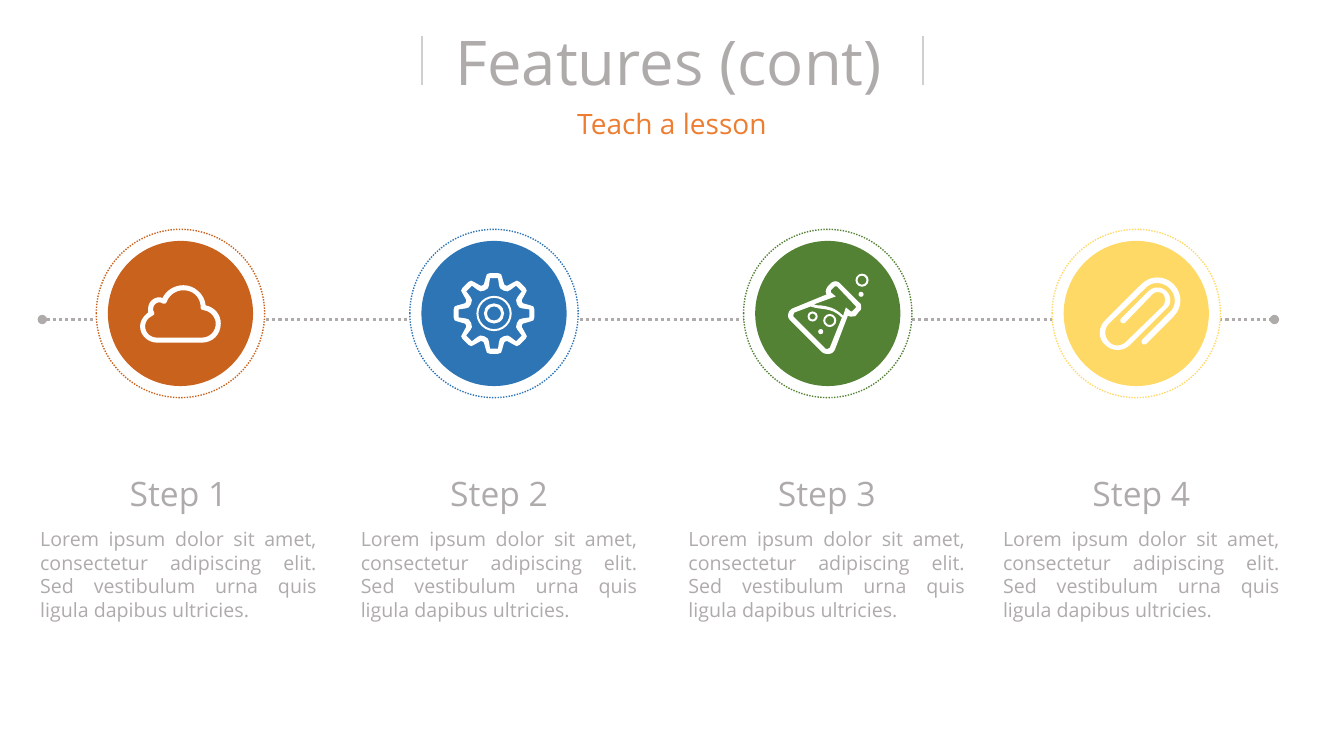
"""Builds a four-step features slide with icon badges on a dotted timeline."""
from math import cos, radians, sin

from lxml.etree import SubElement
from pptx import Presentation
from pptx.dml.color import RGBColor
from pptx.enum.dml import MSO_LINE
from pptx.enum.shapes import MSO_CONNECTOR, MSO_SHAPE
from pptx.enum.text import MSO_AUTO_SIZE, PP_ALIGN
from pptx.oxml.ns import qn
from pptx.util import Inches, Pt

COLORS = {
    "text": "AFABAB", "rule": "D0CECE", "accent": "ED7D31", "white": "FFFFFF",
    "orange": "C8621C", "blue": "2E75B6", "green": "548235", "yellow": "FFD966",
}
BODY = ("Lorem ipsum dolor sit amet, consectetur adipiscing elit. "
        "Sed vestibulum urna quis ligula dapibus ultricies.")
BADGE_Y = 3.11
STEPS = [
    ("Step 1", 1.77, 1.79, "orange"),
    ("Step 2", 4.95, 4.9, "blue"),
    ("Step 3", 8.2, 8.21, "green"),
    ("Step 4", 11.32, 11.27, "yellow"),
]
CLOUD = ["""
M 2 3.35 L 1.56 3.35 C 1.49 3.35 1.44 3.3 1.44 3.24 C 1.44 3.2 1.46 3.16 1.5 3.14
C 1.53 3.12 1.54 3.12 1.52 3.08 C 1.52 3.08 1.52 3.07 1.52 3.06 C 1.52 3.03 1.55 3 1.58 3
C 1.58 3 1.6 3 1.61 3.01 C 1.64 3.02 1.65 3.01 1.66 2.98 C 1.69 2.92 1.75 2.88 1.82 2.88
C 1.91 2.88 1.98 2.94 1.99 3.03 C 1.99 3.07 1.99 3.07 2.03 3.08 C 2.09 3.09 2.14 3.15 2.14 3.21
C 2.14 3.29 2.08 3.35 2 3.35""", """
M 2.04 3.03 C 2.03 2.92 1.93 2.83 1.82 2.83 C 1.73 2.83 1.65 2.88 1.61 2.96
C 1.6 2.95 1.59 2.95 1.58 2.95 C 1.52 2.95 1.47 3 1.47 3.06 C 1.47 3.08 1.47 3.09 1.47 3.1
C 1.43 3.13 1.39 3.18 1.39 3.24 C 1.39 3.33 1.47 3.4 1.56 3.4 L 2 3.4
C 2.11 3.4 2.19 3.32 2.19 3.21 C 2.19 3.12 2.13 3.05 2.04 3.03"""]
FLASK = ["""
M 8.49 3.05 L 8.45 3.09 L 8.44 3.09 L 8.39 3.05 L 8.36 3.14 L 8.36 3.13
C 8.28 3.05 8.21 3.04 8.14 3.03 C 8.12 3.03 8.1 3.03 8.07 3.02 L 8.29 2.94 L 8.24 2.9
L 8.24 2.88 L 8.28 2.84 L 8.3 2.84 L 8.49 3.04
M 8.23 3.45 L 8.21 3.46 L 8.19 3.46 L 7.87 3.14 L 7.87 3.12 L 7.88 3.1 L 8.04 3.04
C 8.14 3.08 8.24 3.04 8.35 3.15 L 8.23 3.45""", """
M 8.33 2.81 C 8.32 2.8 8.3 2.79 8.29 2.79 C 8.27 2.79 8.25 2.8 8.24 2.81 L 8.21 2.84
C 8.2 2.86 8.19 2.87 8.19 2.89 C 8.19 2.9 8.19 2.91 8.2 2.92 L 7.86 3.06
C 7.84 3.07 7.82 3.09 7.82 3.11 C 7.81 3.14 7.82 3.16 7.84 3.18 L 8.15 3.49
C 8.17 3.51 8.19 3.51 8.21 3.51 L 8.22 3.51 C 8.25 3.51 8.27 3.49 8.28 3.47 L 8.41 3.13
C 8.42 3.14 8.43 3.14 8.44 3.14 C 8.46 3.14 8.48 3.14 8.49 3.13 L 8.52 3.09
C 8.54 3.08 8.54 3.06 8.54 3.05 C 8.54 3.03 8.54 3.01 8.52 3 L 8.33 2.81"""]
CLIP = ["""
M 11.64 2.82 C 11.55 2.73 11.41 2.73 11.32 2.82 L 10.96 3.18 C 10.89 3.25 10.89 3.36 10.96 3.42
C 11.03 3.49 11.14 3.49 11.21 3.42 L 11.57 3.06 C 11.62 3.02 11.62 2.94 11.57 2.89
C 11.52 2.84 11.44 2.84 11.39 2.89 L 11.12 3.16 C 11.11 3.17 11.11 3.19 11.12 3.2
C 11.13 3.21 11.15 3.21 11.16 3.2 L 11.43 2.92 C 11.46 2.89 11.51 2.89 11.54 2.92""", """
C 11.56 2.95 11.56 3 11.54 3.03 L 11.17 3.39 C 11.12 3.44 11.04 3.44 11 3.39
C 10.95 3.34 10.95 3.26 11 3.21 L 11.36 2.86 C 11.42 2.79 11.53 2.79 11.6 2.86
C 11.67 2.93 11.67 3.04 11.6 3.1 L 11.33 3.37 C 11.32 3.38 11.32 3.4 11.33 3.41
C 11.34 3.42 11.36 3.42 11.37 3.41 L 11.64 3.14 C 11.73 3.05 11.73 2.91 11.64 2.82"""]
TOOTH_OUTSIDE = [(0.11, 0.28), (0.1, 0.29), (0.08, 0.36), (0.07, 0.39), (0.04, 0.4)]
TOOTH_INSIDE = [(0.09, 0.23), (0.06, 0.25), (0.05, 0.28), (0.04, 0.35)]
RINGS = [
    (4.9, 3.11, 0.35, 0.02), (4.9, 3.11, 0.2, 0.03), (8.23, 3.18, 0.13, 0.02),
    (8.55, 2.78, 0.13, 0.02), (8.06, 3.14, 0.1, 0.02),
]
DOTS = [(8.14, 3.29, 0.05), (8.54, 2.92, 0.05)]


def outline_contours(pieces, steps=8):
    contours = []
    tokens = iter(" ".join(pieces).split())
    for command in tokens:
        count = 6 if command == "C" else 2
        numbers = [float(next(tokens)) for _ in range(count)]
        points = list(zip(numbers[::2], numbers[1::2]))
        if command == "M":
            contours.append(points)
        elif command == "L":
            contours[-1] += points
        else:
            controls = [contours[-1][-1]] + points
            for step in range(1, steps + 1):
                t = step / steps
                weights = ((1 - t) ** 3, 3 * t * (1 - t) ** 2, 3 * t * t * (1 - t), t ** 3)
                contours[-1].append(tuple(
                    sum(weight * point[axis] for weight, point in zip(weights, controls))
                    for axis in (0, 1)))
    return contours


def gear_contour(center_x, center_y, half_tooth):
    tooth = [(-x, y) for x, y in half_tooth] + half_tooth[::-1]
    turns = [radians(45 * index) for index in range(8)]
    return [(center_x + x * cos(turn) + y * sin(turn), center_y + x * sin(turn) - y * cos(turn))
            for turn in turns for x, y in tooth]


class SlideBuilder:
    def __init__(self, slide, font="Open Sans"):
        self.slide = slide
        self.font = font

    def color(self, name):
        return RGBColor.from_string(COLORS[name])

    def text(self, content, left, top, width, height, size, color="text", align=PP_ALIGN.CENTER):
        shape = self.slide.shapes.add_textbox(
            Inches(left), Inches(top), Inches(width), Inches(height))
        frame = shape.text_frame
        frame.word_wrap = True
        frame.auto_size = MSO_AUTO_SIZE.SHAPE_TO_FIT_TEXT
        frame.text = content
        paragraph = frame.paragraphs[0]
        paragraph.alignment = align
        font = paragraph.runs[0].font
        font.name, font.size = self.font, Pt(size)
        font.color.rgb = self.color(color)

    def line(self, start, end, color, width, dotted=False):
        connector = self.slide.shapes.add_connector(
            MSO_CONNECTOR.STRAIGHT, *(Inches(value) for value in start + end))
        connector.line.color.rgb = self.color(color)
        connector.line.width = Pt(width)
        if dotted:
            connector.line.dash_style = MSO_LINE.ROUND_DOT
            for tag in ("a:headEnd", "a:tailEnd"):
                SubElement(connector.line._get_or_add_ln(), qn(tag), type="oval")
        SubElement(connector._element.spPr, qn("a:effectLst"))

    def paint(self, shape, fill, outline=None):
        shape.shadow.inherit = False
        shape.fill.solid()
        shape.fill.fore_color.rgb = self.color(fill)
        if outline:
            shape.line.color.rgb = self.color(outline)
            shape.line.width = Pt(1)
            shape.line.dash_style = MSO_LINE.ROUND_DOT
        else:
            shape.line.fill.background()

    def circle(self, x, y, diameter, fill="white", outline=None, ring=None):
        kind = MSO_SHAPE.DONUT if ring else MSO_SHAPE.OVAL
        shape = self.slide.shapes.add_shape(
            kind, Inches(x - diameter / 2), Inches(y - diameter / 2),
            Inches(diameter), Inches(diameter))
        if ring:
            shape.adjustments[0] = ring / diameter
        self.paint(shape, fill, outline)

    def icon(self, contours):
        contours = [[(Inches(x), Inches(y)) for x, y in contour] for contour in contours]
        builder = self.slide.shapes.build_freeform(*contours[0][0])
        for index, contour in enumerate(contours):
            if index:
                builder.move_to(*contour[0])
            builder.add_line_segments(contour[1:], close=True)
        self.paint(builder.convert_to_shape(), "white")


def main():
    presentation = Presentation()
    presentation.slide_width, presentation.slide_height = Inches(13.33), Inches(7.5)
    slide = presentation.slides.add_slide(presentation.slide_layouts[6])
    builder = SlideBuilder(slide)

    builder.line((0.42, 3.17), (12.64, 3.17), "text", 2.25, dotted=True)
    builder.text("Teach a lesson", 3.36, 1.01, 6.61, 0.44, 20, "accent")
    builder.text("Features (cont)", 2.14, 0.19, 8.99, 0.84, 44)
    for x in (4.19, 9.15):
        builder.line((x, 0.36), (x, 0.84), "rule", 1.5)

    for title, text_x, badge_x, color in STEPS:
        builder.text(title, text_x - 0.74, 4.64, 1.48, 0.5, 24)
        builder.text(BODY, text_x - 1.47, 5.18, 2.94, 1.04, 14, align=PP_ALIGN.JUSTIFY)
        builder.circle(badge_x, BADGE_Y, 1.67, outline=color)
        builder.circle(badge_x, BADGE_Y, 1.44, color)

    for pieces in (CLOUD, FLASK, CLIP):
        builder.icon(outline_contours(pieces))
    builder.icon([gear_contour(4.9, BADGE_Y, tooth) for tooth in (TOOTH_OUTSIDE, TOOTH_INSIDE)])
    for x, y, diameter, thickness in RINGS:
        builder.circle(x, y, diameter, ring=thickness)
    for dot in DOTS:
        builder.circle(*dot)

    presentation.save("out.pptx")


if __name__ == "__main__":
    main()
